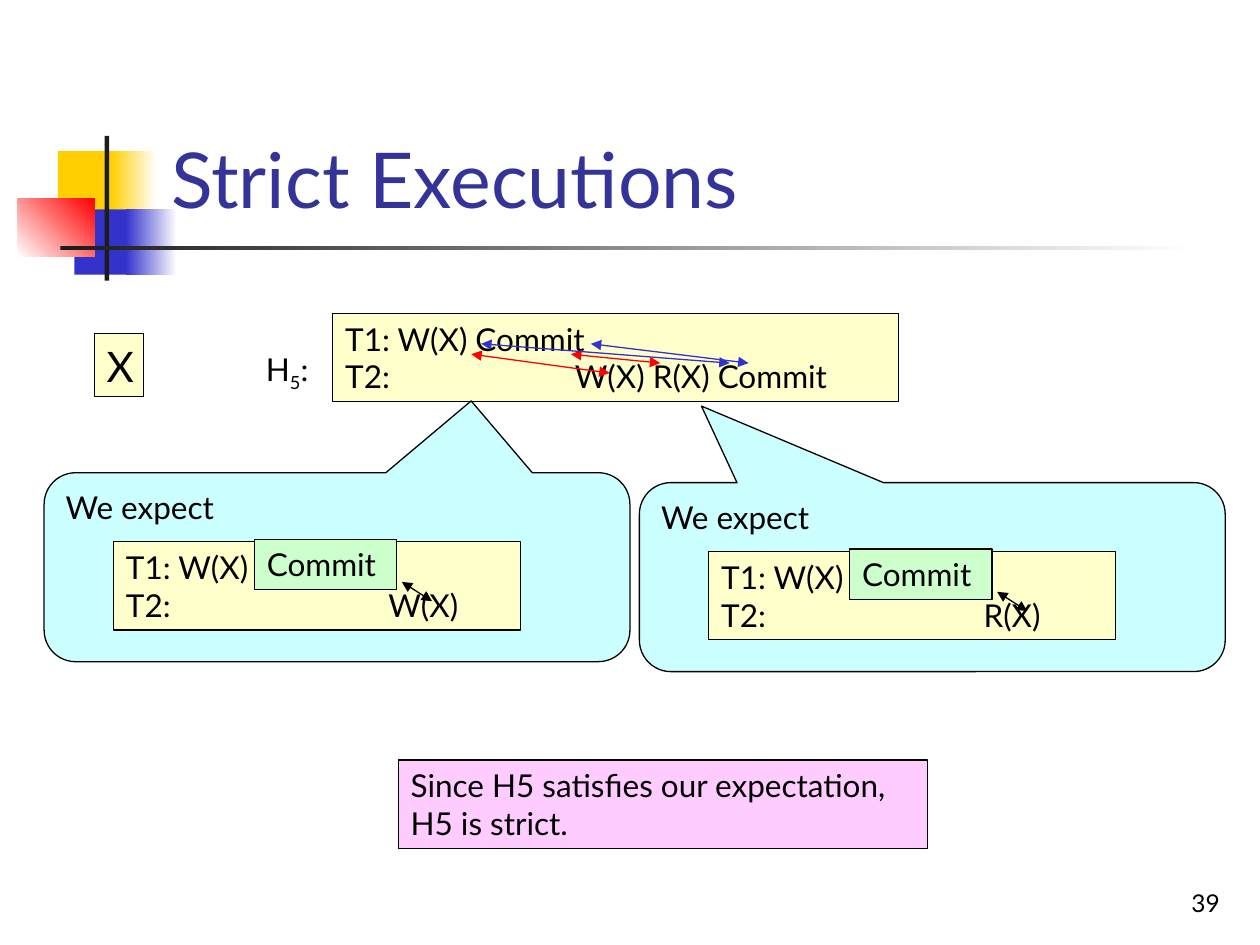
from dataclasses import dataclass
from typing import Optional

import lxml.etree
import pptx
import pptx.dml.color
import pptx.enum.shapes
import pptx.enum.text
import pptx.oxml.ns
import pptx.util

FONT = "Lato"
BLACK, WHITE, CREAM, AQUA = "000000", "FFFFFF", "FFFFCC", "CCFFFF"
GREEN, PINK, RED, BLUE = "CCFFCC", "FFCCFF", "FF0000", "3333CC"
YELLOW, CHARCOAL, NAVY = "FFCF01", "1C1C1C", "333399"
SHAPE = pptx.enum.shapes.MSO_SHAPE
ANCHOR = pptx.enum.text.MSO_ANCHOR
ALIGN = pptx.enum.text.PP_ALIGN


@dataclass(frozen=True)
class Area:
    left: float
    top: float
    width: float
    height: float

    def lengths(self) -> list:
        return [pptx.util.Cm(v) for v in (self.left, self.top, self.width, self.height)]

    def moved(self, dx: float, dy: float) -> "Area":
        return Area(self.left + dx, self.top + dy, self.width, self.height)


@dataclass(frozen=True)
class Ornament:
    area: Area
    start: str
    end: Optional[str] = None
    angle: int = 0


@dataclass(frozen=True)
class Conflict:
    x1: float
    y1: float
    x2: float
    y2: float
    color: str

    def moved(self, dx: float, dy: float) -> "Conflict":
        return Conflict(self.x1 + dx, self.y1 + dy, self.x2 + dx, self.y2 + dy, self.color)


@dataclass(frozen=True)
class Expectation:
    dx: float
    dy: float
    pointer: tuple
    operation: str


ORNAMENTS = [
    Ornament(Area(1.17, 3.05, 1.22, 1.32), YELLOW),
    Ornament(Area(2.24, 3.05, 0.91, 1.32), YELLOW, WHITE),
    Ornament(Area(1.5, 4.22, 1.17, 1.32), BLUE),
    Ornament(Area(2.54, 4.22, 1.02, 1.32), BLUE, WHITE),
    Ornament(Area(0.36, 4.01, 1.55, 1.17), WHITE, RED, 45),
    Ornament(Area(2.11, 2.74, 0.09, 2.92), CHARCOAL),
    Ornament(Area(1.22, 4.95, 22.86, 0.09), CHARCOAL, WHITE),
]
CONFLICTS = [
    Conflict(9.5, 7.14, 12.29, 7.52, RED),
    Conflict(11.51, 7.14, 13.31, 7.32, RED),
    Conflict(9.7, 6.93, 14.71, 7.32, BLUE),
    Conflict(11.91, 6.93, 15.09, 7.32, BLUE),
]
EXPECTATIONS = [
    Expectation(0, 0, (0.229, -0.88, 0.167), "W(X)"),
    Expectation(12, 0.2, (-0.394, -0.905, 0.167), "R(X)"),
]


def rgb(color: str) -> pptx.dml.color.RGBColor:
    return pptx.dml.color.RGBColor.from_string(color)


def add_run(paragraph, text: str, size: float = 18, color: str = BLACK, baseline: int = 0) -> None:
    run = paragraph.add_run()
    run.text = text
    run.font.name = FONT
    run.font.size = pptx.util.Pt(size)
    run.font.color.rgb = rgb(color)
    if baseline:
        run.font._element.set("baseline", str(baseline * 1000))


def write(frame, lines: list, size: float = 18, tab: float = 0, wrap: bool = True) -> None:
    frame.word_wrap = wrap
    frame.vertical_anchor = ANCHOR.TOP
    for index, line in enumerate(lines):
        paragraph = frame.add_paragraph() if index else frame.paragraphs[0]
        paragraph.alignment = ALIGN.LEFT
        if tab:
            properties = paragraph._p.get_or_add_pPr()
            stops = lxml.etree.SubElement(properties, pptx.oxml.ns.qn("a:tabLst"))
            lxml.etree.SubElement(stops, pptx.oxml.ns.qn("a:tab"),
                                  pos=str(pptx.util.Cm(tab)), algn="l")
        add_run(paragraph, line, size)


def add_ornament(shapes, ornament: Ornament) -> None:
    block = shapes.add_shape(SHAPE.RECTANGLE, *ornament.area.lengths())
    block.shadow.inherit = False
    block.line.fill.background()
    if ornament.end is None:
        block.fill.solid()
        block.fill.fore_color.rgb = rgb(ornament.start)
        return
    block.fill.gradient()
    block.fill.gradient_angle = ornament.angle
    for stop, color in zip(block.fill.gradient_stops, (ornament.start, ornament.end)):
        stop.color.rgb = rgb(color)


def add_box(shapes, area: Area, fill: str, lines: list, size: float = 18, tab: float = 0,
            wrap: bool = True, pointer: tuple = ()) -> None:
    kind = SHAPE.ROUNDED_RECTANGULAR_CALLOUT if pointer else SHAPE.RECTANGLE
    box = shapes.add_shape(kind, *area.lengths())
    for index, value in enumerate(pointer):
        box.adjustments[index] = value
    box.shadow.inherit = False
    box.fill.solid()
    box.fill.fore_color.rgb = rgb(fill)
    box.line.color.rgb = rgb(BLACK)
    box.line.width = pptx.util.Pt(0.75)
    write(box.text_frame, lines, size, tab, wrap)


def add_conflict(shapes, conflict: Conflict) -> None:
    ends = [pptx.util.Cm(v) for v in (conflict.x1, conflict.y1, conflict.x2, conflict.y2)]
    arrow = shapes.add_connector(pptx.enum.shapes.MSO_CONNECTOR.STRAIGHT, *ends)
    arrow.line.color.rgb = rgb(conflict.color)
    arrow.line.width = pptx.util.Pt(0.75)
    outline = arrow.line._get_or_add_ln()
    for end in ("a:headEnd", "a:tailEnd"):
        lxml.etree.SubElement(outline, pptx.oxml.ns.qn(end), type="triangle")
    lxml.etree.SubElement(arrow._element.spPr, pptx.oxml.ns.qn("a:effectLst"))


def add_expectation(shapes, expected: Expectation) -> None:
    shift = (expected.dx, expected.dy)
    panel = shapes.add_group_shape().shapes
    add_box(panel, Area(0.89, 9.53, 11.81, 3.81).moved(*shift), AQUA, ["We expect"],
            pointer=expected.pointer)
    add_box(panel, Area(2.29, 10.92, 8.2, 1.78).moved(*shift), CREAM,
            ["T1: W(X)", f"T2:\t{expected.operation}"], tab=5.29)
    add_conflict(panel, Conflict(8.1, 11.73, 8.71, 12.12, BLACK).moved(*shift))
    add_box(panel, Area(5.13, 10.87, 2.87, 1.02).moved(*shift), GREEN, ["Commit"], wrap=False)


def main() -> None:
    deck = pptx.Presentation()
    deck.slide_width, deck.slide_height = pptx.util.Cm(25.4), pptx.util.Cm(19.05)
    slide = deck.slides.add_slide(deck.slide_layouts[5])
    shapes = slide.shapes

    for ornament in ORNAMENTS:
        add_ornament(shapes, ornament)

    heading = shapes.title
    heading.left, heading.top, heading.width, heading.height = Area(3.2, 0.58, 21.64, 4.06).lengths()
    heading.text_frame.auto_size = pptx.enum.text.MSO_AUTO_SIZE.NONE
    heading.text_frame.vertical_anchor = ANCHOR.BOTTOM
    heading.text_frame.paragraphs[0].alignment = ALIGN.LEFT
    add_run(heading.text_frame.paragraphs[0], "Strict Executions", 44, NAVY)

    page_number = shapes.add_textbox(*Area(19.56, 17.35, 5.28, 1.27).lengths()).text_frame
    page_number.word_wrap = True
    page_number.vertical_anchor = ANCHOR.BOTTOM
    page_number.paragraphs[0].alignment = ALIGN.RIGHT
    add_run(page_number.paragraphs[0], "39", 14)

    add_box(shapes, Area(6.71, 6.32, 11.4, 1.78), CREAM,
            ["T1: W(X) Commit", "T2:\tW(X) R(X) Commit"], tab=4.63)
    add_box(shapes, Area(1.9, 6.73, 0.99, 1.27), CREAM, ["X"], size=24, wrap=False)
    add_box(shapes, Area(8.03, 15.32, 10.67, 1.78), PINK,
            ["Since H5 satisfies our expectation,", "H5 is strict."], wrap=False)

    history = shapes.add_textbox(*Area(5.11, 6.93, 1.4, 1.12).lengths()).text_frame
    history.word_wrap = True
    for text, baseline in (("H", 0), ("5", -25), (":", 0)):
        add_run(history.paragraphs[0], text, baseline=baseline)

    for expected in EXPECTATIONS:
        add_expectation(shapes, expected)
    for conflict in CONFLICTS:
        add_conflict(shapes, conflict)

    deck.save("out.pptx")


if __name__ == "__main__":
    main()
